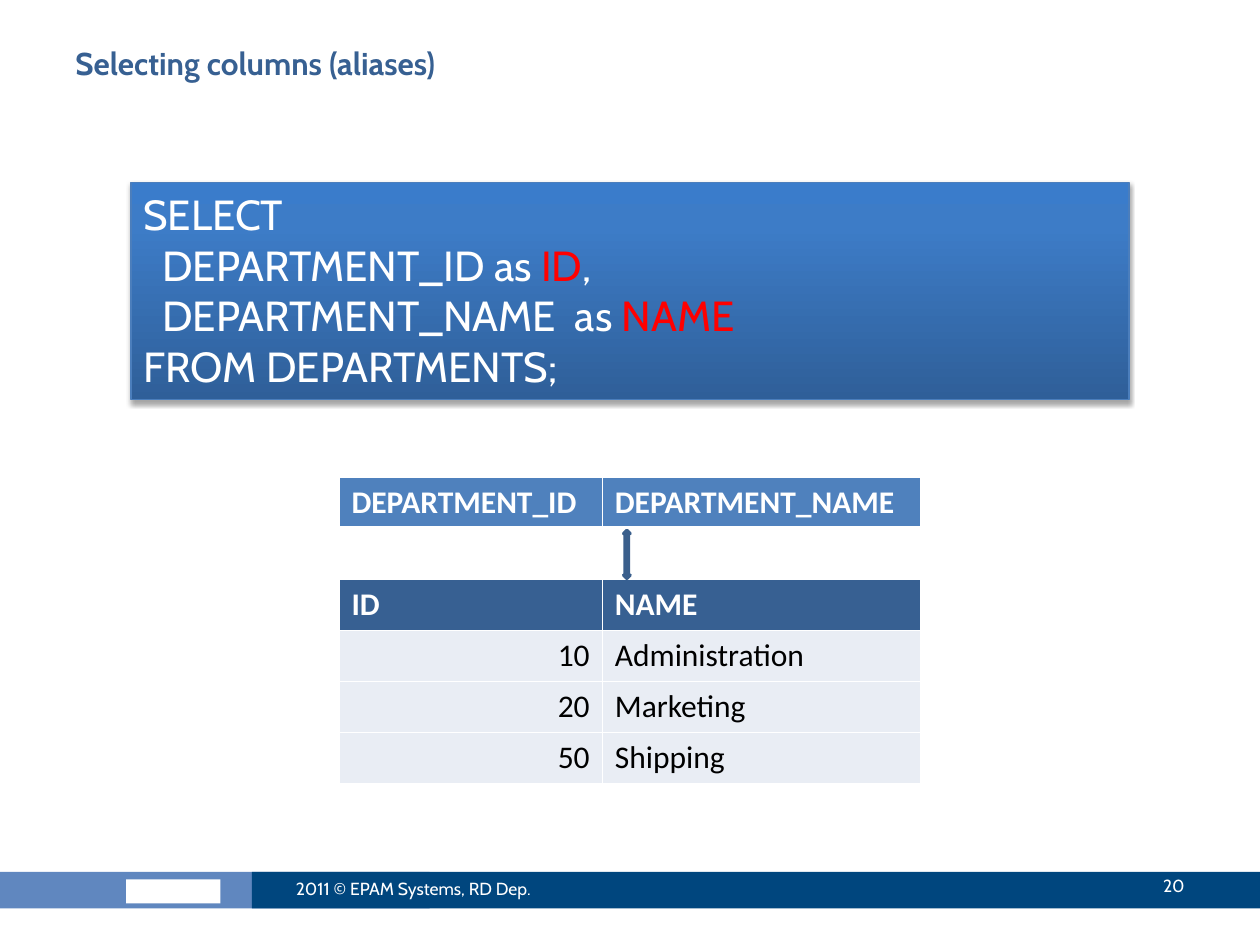
from pptx import Presentation
from pptx.dml.color import RGBColor
from pptx.enum.shapes import MSO_SHAPE as Shape
from pptx.enum.text import MSO_ANCHOR as Anchor, PP_ALIGN as Align
from pptx.oxml import parse_xml
from pptx.oxml.ns import nsdecls, qn
from pptx.util import Inches, Pt

NS = nsdecls("a")
WHITE, RED, NAVY, BLUE = "FFFFFF", "FF0000", "376092", "4F81BD"


def rgb(code):
    return RGBColor.from_string(code)


def write(para, runs, size, face, bold=False):
    """Fill a paragraph with (text, colour) runs."""
    for text, color in runs:
        run = para.add_run()
        run.text = text
        for name, value in {"size": Pt(size), "name": face, "bold": bold}.items():
            setattr(run.font, name, value)
        run.font.color.rgb = rgb(color)


deck = Presentation()
deck.slide_width, deck.slide_height = Inches(10), Inches(7.5)
slide = deck.slides.add_slide(deck.slide_layouts[6])
shapes = slide.shapes

# Footer band, with a plain block for the logo
bars = [
    (-0.02, 6.92, 3.43, 0.29, "6087BF"),
    (1, 6.98, 0.75, 0.19, WHITE),
    (2, 6.92, 8, 0.29, "00467E"),
]
for *area, color in bars:
    bar = shapes.add_shape(Shape.RECTANGLE, *map(Inches, area))
    bar.shadow.inherit = False
    bar.fill.solid()
    bar.fill.fore_color.rgb = rgb(color)
    bar.line.fill.background()

# Title, footer and page number
labels = [
    ("Selecting columns (aliases)", (0.5, 0.3, 9, 0.78), 18, NAVY, True, Anchor.TOP, Align.LEFT),
    ("2011 © EPAM Systems, RD Dep.", (2.25, 6.85, 2.67, 0.4), 10, WHITE, False, Anchor.MIDDLE, Align.LEFT),
    ("20", (8.42, 6.83, 1.08, 0.4), 10, WHITE, False, Anchor.MIDDLE, Align.RIGHT),
]
for text, area, size, color, bold, anchor, align in labels:
    frame = shapes.add_textbox(*map(Inches, area)).text_frame
    frame.word_wrap = True
    frame.vertical_anchor = anchor
    para = frame.paragraphs[0]
    para.alignment = align
    write(para, [(text, color)], size, "Cabin", bold)

# Query box
query = shapes.add_shape(Shape.RECTANGLE, Inches(1.04), Inches(1.45), Inches(7.92), Inches(1.72))
query.shadow.inherit = False
query.line.color.rgb = rgb("4B7EBC")
query.line.width = Pt(0.75)
query.fill.gradient()
query.fill.gradient_angle = 90
props = query.fill._xPr
stops = props.find(qn("a:gradFill")).find(qn("a:gsLst"))
for stop in list(stops):
    stops.remove(stop)
for pos, color in [(0, "2F5F99"), (80, "3D7CC7"), (100, "3A7CCB")]:
    stops.append(parse_xml(f'<a:gs {NS} pos="{pos * 1000}"><a:srgbClr val="{color}"/></a:gs>'))
props.find(qn("a:effectLst")).append(parse_xml(
    f'<a:outerShdw {NS} blurRad="{Pt(3.1)}" dist="{Pt(1.8)}" dir="5400000" rotWithShape="0">'
    '<a:srgbClr val="000000"><a:alpha val="35000"/></a:srgbClr></a:outerShdw>'))

lines = [
    [("SELECT", WHITE)],
    [("  DEPARTMENT_ID as ", WHITE), ("ID", RED), (",", WHITE)],
    [("  DEPARTMENT_NAME  as ", WHITE), ("NAME", RED)],
    [("FROM DEPARTMENTS;", WHITE)],
]
frame = query.text_frame
frame.word_wrap = True
frame.vertical_anchor = Anchor.TOP
for i, runs in enumerate(lines):
    para = frame.add_paragraph() if i else frame.paragraphs[0]
    para.alignment = Align.LEFT
    write(para, runs, 24, "Cabin")

# Column names, their aliases and the rows
rows = [
    ("DEPARTMENT_ID", "DEPARTMENT_NAME"),
    ("", ""),
    ("ID", "NAME"),
    ("10", "Administration"),
    ("20", "Marketing"),
    ("50", "Shipping"),
]
fills = [BLUE, None, NAVY] + ["E9EDF4"] * 3
table = shapes.add_table(len(rows), 2, Inches(2.69), Inches(3.79), Inches(4.62), Inches(2.43)).table
for col, width in zip(table.columns, (2.09, 2.53)):
    col.width = Inches(width)
for r, (row, color) in enumerate(zip(rows, fills)):
    table.rows[r].height = Inches(2.43 / len(rows))
    head = r < 3
    for c, text in enumerate(row):
        cell = table.cell(r, c)
        edges = cell._tc.get_or_add_tcPr()
        for side in "LRTB":
            width = 3 if (r, side) in [(0, "B"), (1, "T")] else 1
            edges.append(parse_xml(
                f'<a:ln{side} {NS} w="{Pt(width)}"><a:solidFill>'
                f'<a:srgbClr val="{WHITE}"/></a:solidFill></a:ln{side}>'))
        if color:
            cell.fill.solid()
            cell.fill.fore_color.rgb = rgb(color)
        else:
            cell.fill.background()
        para = cell.text_frame.paragraphs[0]
        para.alignment = Align.LEFT if head or c else Align.RIGHT
        if text:
            write(para, [(text, WHITE if head else "000000")], 18, "Calibri", head)

# Link between a column and its alias
arrow = shapes.add_shape(Shape.UP_DOWN_ARROW, Inches(4.95), Inches(4.21), Inches(0.05), Inches(0.38))
arrow.shadow.inherit = False
arrow.fill.solid()
arrow.fill.fore_color.rgb = rgb(BLUE)
arrow.line.color.rgb = rgb("3A5F8C")
arrow.line.width = Pt(2)

deck.save("out.pptx")
